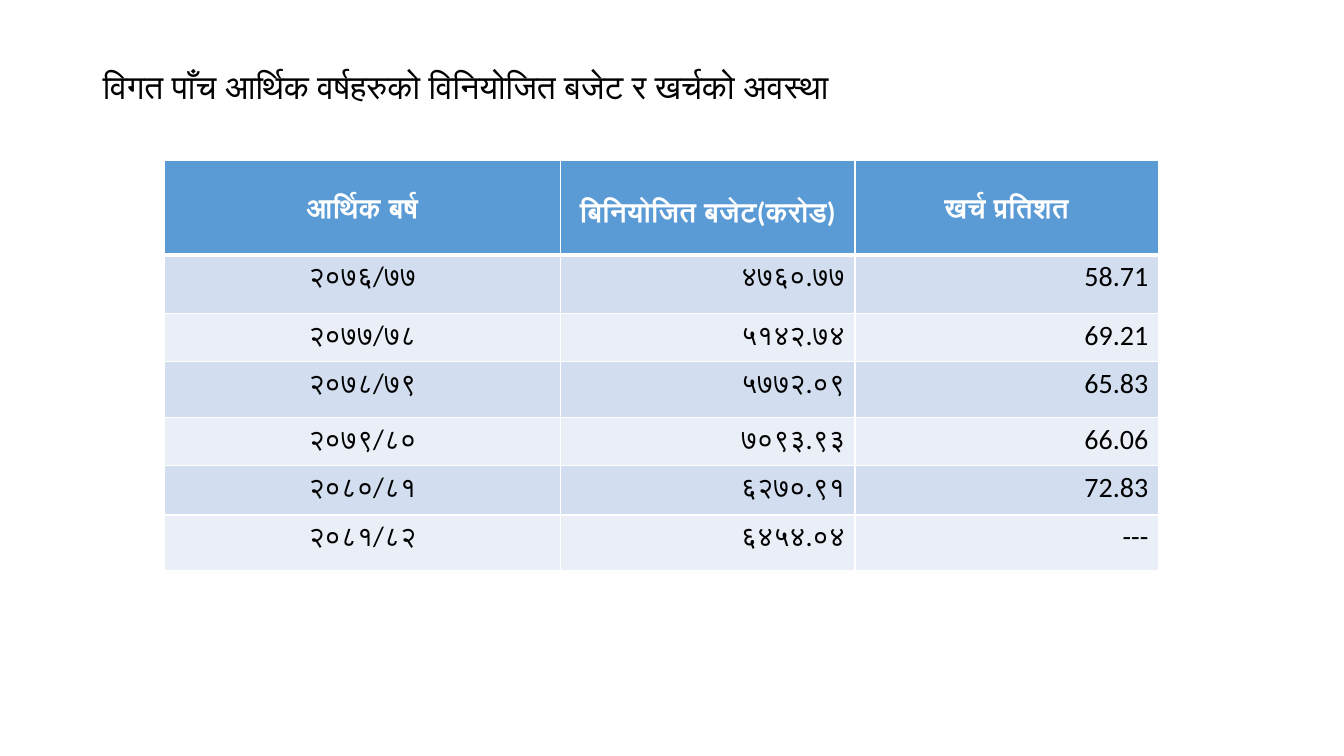
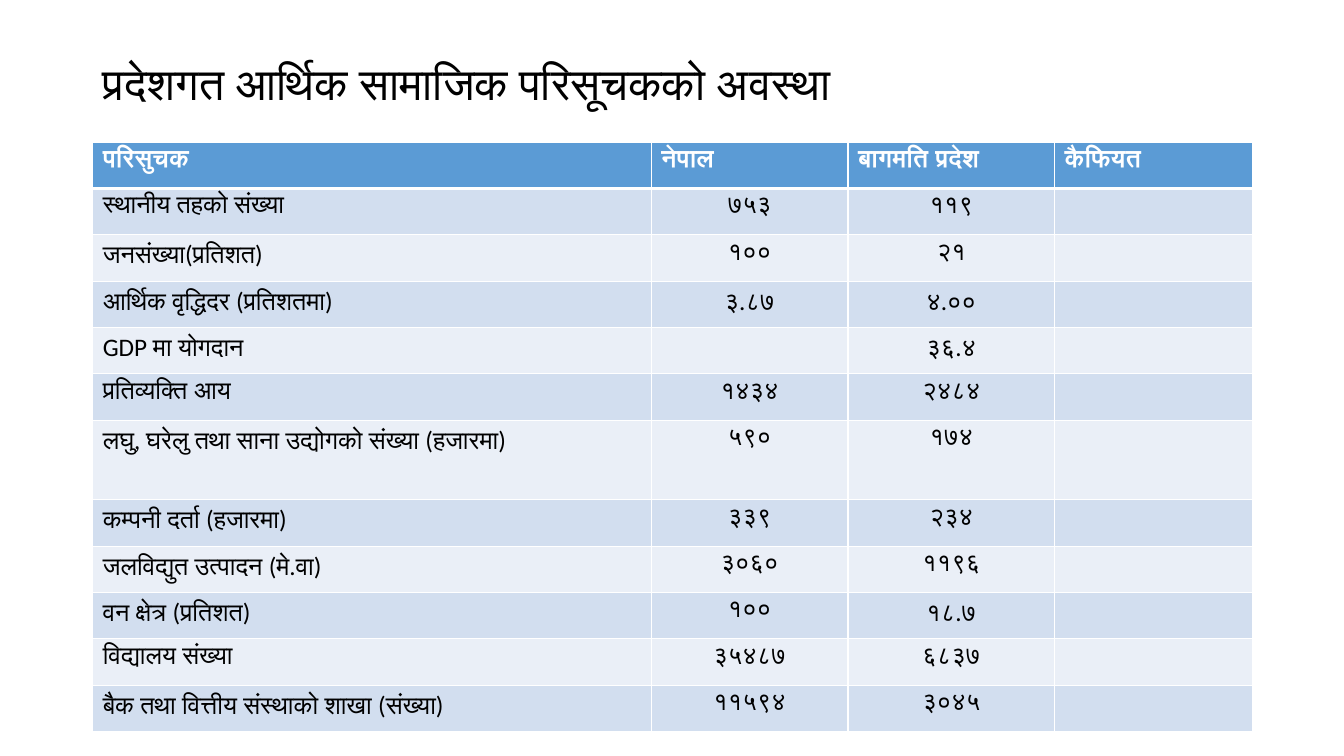
from lxml import etree
from pptx import Presentation
from pptx.dml.color import RGBColor
from pptx.enum.text import MSO_ANCHOR, MSO_AUTO_SIZE, PP_ALIGN
from pptx.oxml.ns import qn
from pptx.util import Inches, Pt

LEFT, CENTER, RIGHT = PP_ALIGN.LEFT, PP_ALIGN.CENTER, PP_ALIGN.RIGHT
MIDDLE = MSO_ANCHOR.MIDDLE
NO_AUTOFIT = MSO_AUTO_SIZE.NONE

# Shared style
FONT = "Calibri"
BLACK = RGBColor(0x00, 0x00, 0x00)
WHITE = RGBColor(0xFF, 0xFF, 0xFF)
HEADER_BLUE = RGBColor(0x5B, 0x9B, 0xD5)
BANDS = (RGBColor(0xD2, 0xDE, 0xEF), RGBColor(0xEA, 0xEF, 0xF7))
TITLE_ONLY = 5
MARGIN, TITLE_TOP, CONTENT_WIDTH = 0.92, 0.4, 11.5
GRID_PT, HEADER_RULE_PT = 1, 3

# Content: the first row of each table is its header
BUDGET = {
    "title": "विगत पाँच आर्थिक वर्षहरुको विनियोजित बजेट र खर्चको अवस्था",
    "title_size": 24,
    "title_height": 0.96,
    "rows": [
        ("आर्थिक बर्ष", "बिनियोजित बजेट(करोड)", "खर्च प्रतिशत"),
        ("२०७६/७७", "४७६०.७७", "58.71"),
        ("२०७७/७८", "५१४२.७४", "69.21"),
        ("२०७८/७९", "५७७२.०९", "65.83"),
        ("२०७९/८०", "७०९३.९३", "66.06"),
        ("२०८०/८१", "६२७०.९१", "72.83"),
        ("२०८१/८२", "६४५४.०४", "---"),
    ],
    "left": 1.63,
    "top": 1.59,
    "widths": (3.93, 2.92, 3.01),
    "heights": (0.94, 0.58, 0.48, 0.55, 0.48, 0.49, 0.55),
    "text_size": 20,
    "header_align": CENTER,
    "header_inset": 0.35,
    "aligns": (CENTER, RIGHT, RIGHT),
}

INDICATORS = {
    "title": "प्रदेशगत आर्थिक सामाजिक परिसूचकको अवस्था",
    "title_size": 32,
    "title_height": 0.91,
    "rows": [
        ("परिसुचक", "नेपाल", "बागमति प्रदेश", "कैफियत"),
        ("स्थानीय तहको संख्या", "७५३", "११९", ""),
        ("जनसंख्या(प्रतिशत)", "१००", "२१", ""),
        ("आर्थिक वृद्धिदर (प्रतिशतमा)", "३.८७", "४.००", ""),
        ("GDP मा योगदान", "", "३६.४", ""),
        ("प्रतिव्यक्ति आय", "१४३४", "२४८४", ""),
        ("लघु, घरेलु तथा साना उद्योगको संख्या (हजारमा)", "५९०", "१७४", ""),
        ("कम्पनी दर्ता (हजारमा)", "३३९", "२३४", ""),
        ("जलविद्युत उत्पादन (मे.वा)", "३०६०", "११९६", ""),
        ("वन क्षेत्र (प्रतिशत)", "१००", "१८.७", ""),
        ("विद्यालय संख्या", "३५४८७", "६८३७", ""),
        ("बैक तथा वित्तीय संस्थाको शाखा (संख्या)", "११५९४", "३०४५", ""),
    ],
    "left": MARGIN,
    "top": 1.41,
    "widths": (5.54, 1.95, 2.05, 1.96),
    "heights": (0.46,) * 6 + (0.79,) + (0.46,) * 5,
    "text_size": 18,
    "header_align": LEFT,
    "header_inset": 0.05,
    "aligns": (LEFT, CENTER, CENTER, CENTER),
}


def write(paragraph, text, size, color, align, bold=False):
    paragraph.alignment = align
    run = paragraph.add_run()
    run.text = text
    run.font.name = FONT
    run.font.size = Pt(size)
    run.font.bold = bold
    run.font.color.rgb = color


def set_borders(cell, top_pt, bottom_pt):
    properties = cell._tc.get_or_add_tcPr()
    edges = (("L", GRID_PT), ("R", GRID_PT), ("T", top_pt), ("B", bottom_pt))
    for side, points in edges:
        line = etree.SubElement(properties, qn(f"a:ln{side}"), w=str(Pt(points)))
        fill = etree.SubElement(line, qn("a:solidFill"))
        etree.SubElement(fill, qn("a:srgbClr"), val=str(WHITE))


def add_title(slide, content):
    title = slide.shapes.title
    title.left, title.top = Inches(MARGIN), Inches(TITLE_TOP)
    title.width, title.height = Inches(CONTENT_WIDTH), Inches(content["title_height"])
    frame = title.text_frame
    frame.auto_size = NO_AUTOFIT
    frame.word_wrap = True
    frame.vertical_anchor = MIDDLE
    paragraph = frame.paragraphs[0]
    paragraph.line_spacing = 0.9
    write(paragraph, content["title"], content["title_size"], BLACK, LEFT)


def add_data_table(slide, content):
    rows, widths, heights = content["rows"], content["widths"], content["heights"]
    table = slide.shapes.add_table(
        len(rows), len(widths), Inches(content["left"]), Inches(content["top"]),
        Inches(sum(widths)), Inches(sum(heights))).table
    for column, width in zip(table.columns, widths):
        column.width = Inches(width)
    for row, height in zip(table.rows, heights):
        row.height = Inches(height)

    for r, values in enumerate(rows):
        header = r == 0
        for c, value in enumerate(values):
            cell = table.cell(r, c)
            # The thick rule is shared by the header and the first data row
            set_borders(cell, HEADER_RULE_PT if r == 1 else GRID_PT,
                        HEADER_RULE_PT if header else GRID_PT)
            cell.fill.solid()
            cell.fill.fore_color.rgb = HEADER_BLUE if header else BANDS[(r - 1) % 2]
            if header:
                cell.margin_top = Inches(content["header_inset"])
            if value:
                write(cell.text_frame.paragraphs[0], value, content["text_size"],
                      WHITE if header else BLACK,
                      content["header_align"] if header else content["aligns"][c],
                      bold=header)


def main():
    deck = Presentation()
    deck.slide_width, deck.slide_height = Inches(13.33), Inches(7.5)
    for content in (BUDGET, INDICATORS):
        slide = deck.slides.add_slide(deck.slide_layouts[TITLE_ONLY])
        add_title(slide, content)
        add_data_table(slide, content)
    deck.save("out.pptx")


if __name__ == "__main__":
    main()
